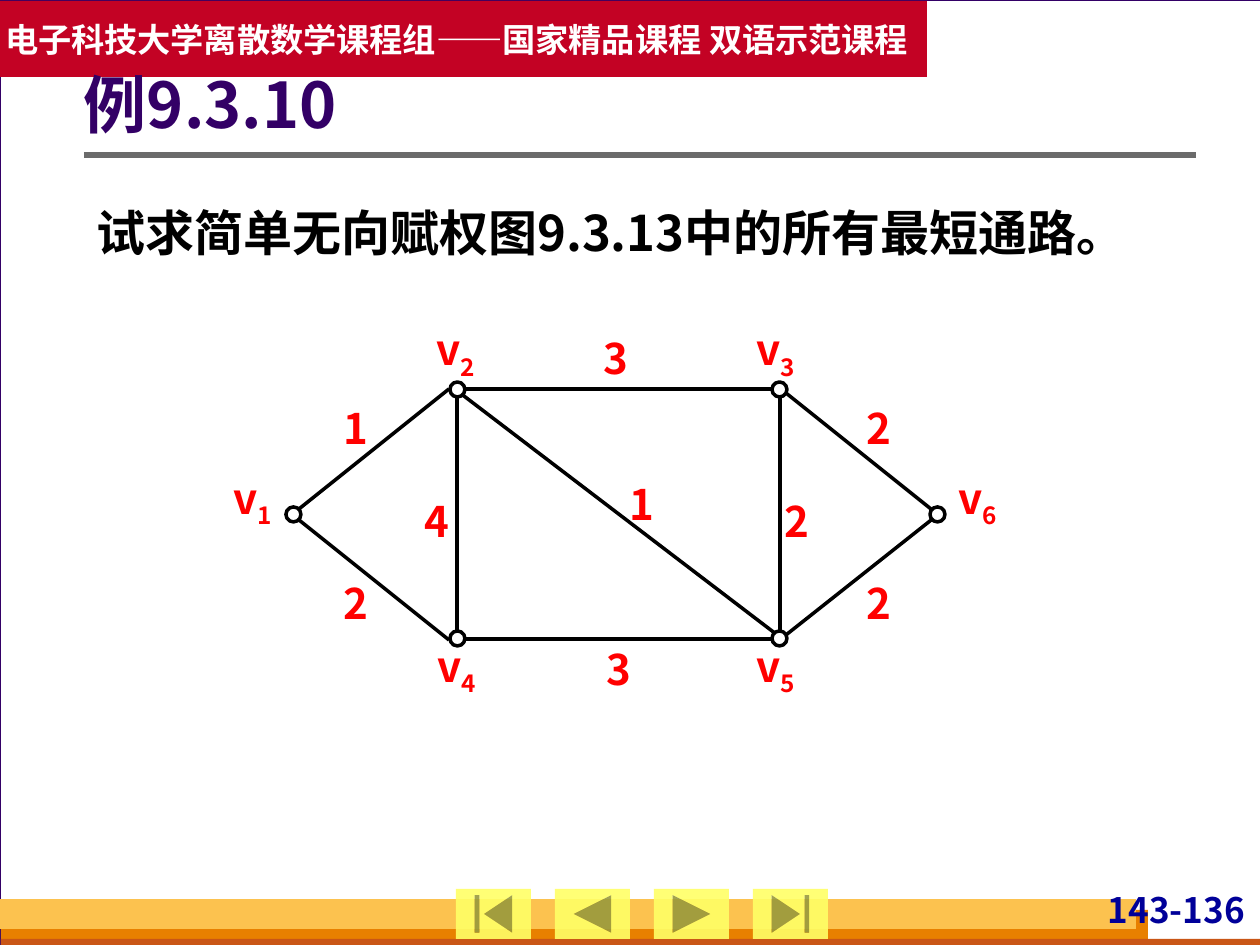
from typing import NamedTuple

from lxml import etree
from pptx import Presentation
from pptx.dml.color import RGBColor
from pptx.enum.shapes import MSO_CONNECTOR, MSO_SHAPE
from pptx.enum.text import MSO_ANCHOR, PP_ALIGN
from pptx.oxml.ns import qn
from pptx.util import Emu, Pt

LEFT, CENTER, RIGHT = PP_ALIGN.LEFT, PP_ALIGN.CENTER, PP_ALIGN.RIGHT
JUSTIFY = PP_ALIGN.JUSTIFY
TOP, MIDDLE = MSO_ANCHOR.TOP, MSO_ANCHOR.MIDDLE
RECTANGLE, OVAL = MSO_SHAPE.RECTANGLE, MSO_SHAPE.OVAL
STRAIGHT = MSO_CONNECTOR.STRAIGHT
NAVIGATION_BUTTONS = [
    MSO_SHAPE.ACTION_BUTTON_BEGINNING,
    MSO_SHAPE.ACTION_BUTTON_BACK_OR_PREVIOUS,
    MSO_SHAPE.ACTION_BUTTON_FORWARD_OR_NEXT,
    MSO_SHAPE.ACTION_BUTTON_END,
]

FONT = "Noto Sans CJK SC"
COLORS = {
    "background": "D8DADA", "white": "FFFFFF", "black": "000000",
    "purple": "330066", "banner": "C30224", "rule": "6B6B6B",
    "orange": "E88000", "rust": "C95616", "amber": "FCC24F",
    "button": "FFFF66", "page": "000099", "label": "FF0000",
}
NODE_SIZE = 15


class Box(NamedTuple):
    left: int
    top: int
    width: int
    height: int


class Node(NamedTuple):
    number: str
    left: int
    top: int
    label_left: int
    label_top: int


class Edge(NamedTuple):
    start: tuple[int, int]
    end: tuple[int, int]
    weight: str
    label_left: int
    label_top: int


BOTTOM_BARS = [
    (Box(1, 910, 1147, 35), "orange"),
    (Box(1, 939, 1259, 10), "rust"),
    (Box(0, 899, 1136, 30), "amber"),
]
NODES = [
    Node("1", 286, 507, 223, 472),
    Node("2", 450, 382, 426, 324),
    Node("3", 772, 382, 746, 324),
    Node("4", 450, 631, 427, 640),
    Node("5", 772, 631, 746, 640),
    Node("6", 930, 507, 948, 472),
]
EDGES = [
    Edge((299, 509), (449, 389), "1", 341, 403),
    Edge((299, 520), (449, 640), "2", 341, 578),
    Edge((465, 389), (777, 389), "3", 601, 333),
    Edge((465, 639), (777, 639), "3", 604, 644),
    Edge((457, 394), (457, 633), "4", 422, 496),
    Edge((460, 393), (776, 634), "1", 627, 479),
    Edge((780, 393), (780, 631), "2", 782, 496),
    Edge((786, 393), (936, 513), "2", 864, 403),
    Edge((786, 635), (935, 517), "2", 864, 578),
]


def px(length: int) -> Emu:
    return Emu(round(length * 914400 / 126))


def rgb(name: str) -> RGBColor:
    return RGBColor.from_string(COLORS[name])


def add_shape(slide, kind, box: Box, fill: str, line: str = "", width: float = 0):
    shape = slide.shapes.add_shape(kind, *map(px, box))
    shape.shadow.inherit = False
    shape.fill.solid()
    shape.fill.fore_color.rgb = rgb(fill)
    if line:
        shape.line.color.rgb = rgb(line)
        shape.line.width = Pt(width)
    else:
        shape.line.fill.background()
    return shape


def add_line(slide, start: tuple, end: tuple, color: str, width: float) -> None:
    line = slide.shapes.add_connector(STRAIGHT, *map(px, start + end))
    line.line.color.rgb = rgb(color)
    line.line.width = Pt(width)
    etree.SubElement(line.element.spPr, qn("a:effectLst"))


def format_run(run, size: int, color: str) -> None:
    run.font.size = Pt(size)
    run.font.bold = True
    run.font.color.rgb = rgb(color)
    run.font.name = FONT
    etree.SubElement(run.font._element, qn("a:ea")).set("typeface", FONT)


def write_text(shape, text: str, size: int, color: str, align=LEFT, anchor=TOP,
               insets: tuple = (0, 0, 0, 0), wrap: bool = True):
    """Write one formatted paragraph and return it."""
    frame = shape.text_frame
    frame.text = text
    frame.word_wrap = wrap
    frame.vertical_anchor = anchor
    (frame.margin_left, frame.margin_top,
     frame.margin_right, frame.margin_bottom) = map(px, insets)
    paragraph = frame.paragraphs[0]
    paragraph.alignment = align
    paragraph.space_before = Pt(0)
    format_run(paragraph.runs[0], size, color)
    return paragraph


def add_label(slide, box: Box, text: str, subscript: str = "") -> None:
    label = slide.shapes.add_textbox(*map(px, box))
    paragraph = write_text(label, text, 24, "label", CENTER)
    if subscript:
        run = paragraph.add_run()
        run.text = subscript
        format_run(run, 24, "label")
        run.font._element.set("baseline", "-25000")


def place_on_top(placeholder, box: Box) -> None:
    placeholder.left, placeholder.top, placeholder.width, placeholder.height = map(px, box)
    placeholder.element.getparent().append(placeholder.element)


def draw_frame(slide) -> None:
    add_shape(slide, RECTANGLE, Box(0, 0, 1261, 945), "white", "purple", 0.75)
    for box, color in BOTTOM_BARS:
        add_shape(slide, RECTANGLE, box, color)
    page = slide.shapes.add_textbox(*map(px, Box(1096, 889, 154, 48)))
    write_text(page, "143-136", 20, "page", RIGHT, insets=(5, 0, 5, 0))
    add_line(slide, (84, 155), (1196, 155), "rule", 3)
    for index, kind in enumerate(NAVIGATION_BUTTONS):
        button = add_shape(slide, kind, Box(456 + 99 * index, 889, 75, 50), "button")
        color = button.element.spPr.find(qn("a:solidFill"))[0]
        etree.SubElement(color, qn("a:alpha")).set("val", "90000")
    banner = add_shape(slide, RECTANGLE, Box(0, 1, 927, 76), "banner")
    write_text(banner, "电子科技大学离散数学课程组——国家精品课程 双语示范课程", 19, "white",
               anchor=MIDDLE, insets=(5, 6, 5, 6), wrap=False)


def draw_headings(slide) -> None:
    title, body = slide.shapes.title, slide.placeholders[1]
    place_on_top(title, Box(84, 45, 1111, 127))
    paragraph = write_text(title, "例9.3.10", 36, "purple", anchor=MIDDLE,
                           insets=(0, 6, 13, 6))
    paragraph.line_spacing = 0.9
    place_on_top(body, Box(84, 185, 1111, 83))
    paragraph = write_text(body, "试求简单无向赋权图9.3.13中的所有最短通路。", 28, "black",
                           JUSTIFY, insets=(13, 6, 13, 6))
    paragraph.line_spacing = 1.2
    properties = paragraph._p.get_or_add_pPr()
    properties.set("marL", "0")
    properties.set("indent", "0")
    etree.SubElement(properties, qn("a:buNone"))


def draw_graph(slide) -> None:
    for edge in EDGES:
        add_line(slide, edge.start, edge.end, "black", 2)
        add_label(slide, Box(edge.label_left, edge.label_top, 30, 50), edge.weight)
    for node in NODES:
        add_shape(slide, OVAL, Box(node.left, node.top, NODE_SIZE, NODE_SIZE),
                  "white", "black", 2)
        add_label(slide, Box(node.label_left, node.label_top, 59, 58), "v", node.number)


def main() -> None:
    presentation = Presentation()
    presentation.slide_width, presentation.slide_height = px(1260), px(945)
    slide = presentation.slides.add_slide(presentation.slide_layouts[1])
    slide.background.fill.solid()
    slide.background.fill.fore_color.rgb = rgb("background")
    draw_frame(slide)
    draw_headings(slide)
    draw_graph(slide)
    presentation.save("out.pptx")


if __name__ == "__main__":
    main()
